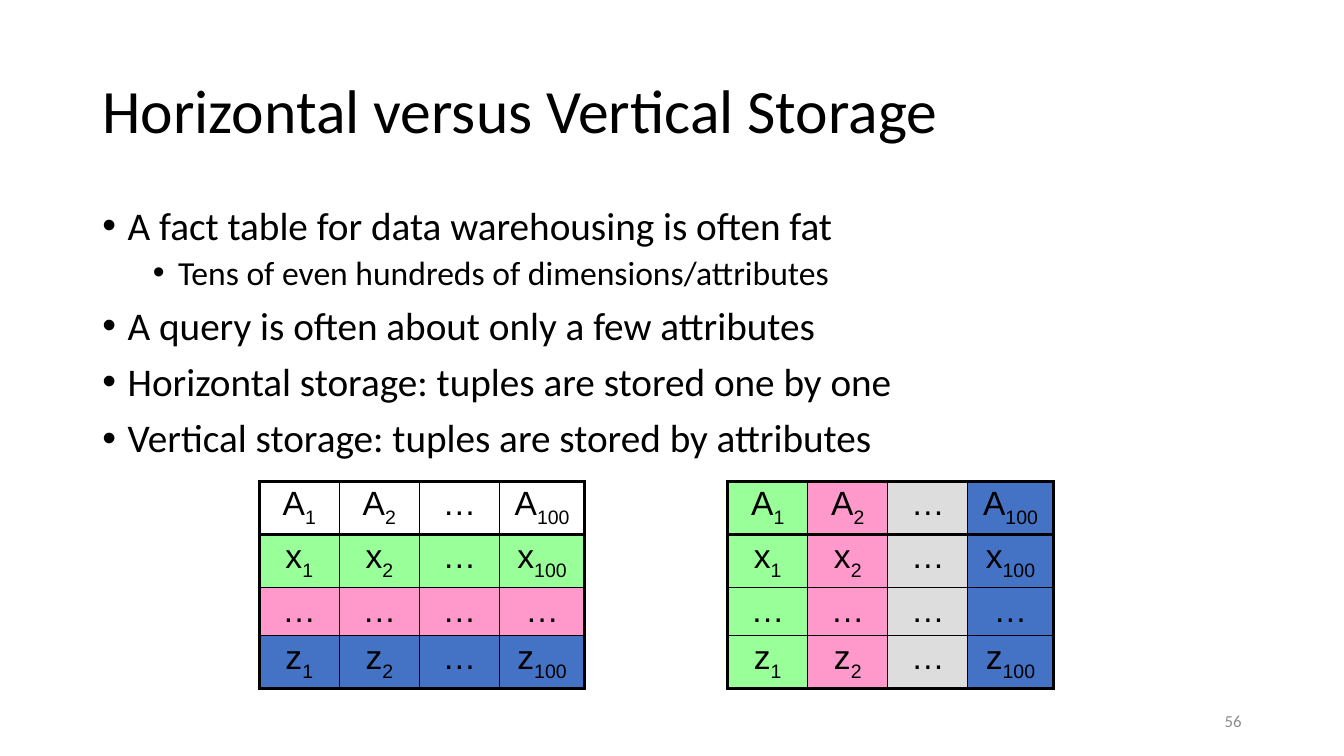
from lxml.etree import SubElement
from pptx import Presentation
from pptx.dml.color import RGBColor
from pptx.enum.text import MSO_ANCHOR, PP_ALIGN
from pptx.oxml.ns import qn
from pptx.util import Pt

BLACK = RGBColor(0x00, 0x00, 0x00)
GREY = RGBColor(0x8C, 0x8C, 0x8C)
GREEN = RGBColor(0x99, 0xFF, 0x99)
PINK = RGBColor(0xFF, 0x99, 0xCC)
SILVER = RGBColor(0xDD, 0xDD, 0xDD)
BLUE = RGBColor(0x44, 0x72, 0xC4)

THIN, THICK = 1, 2.25
COLUMN_WIDTHS = [57.2, 57.2, 57.2, 61]
ROW_HEIGHTS = [38, 38, 34, 38]
LETTERS = ["A", "x", "…", "z"]
SUBSCRIPTS = ["1", "2", "…", "100"]
ROW_COLOURS = [None, GREEN, PINK, BLUE]
COLUMN_COLOURS = [GREEN, PINK, SILVER, BLUE]
POINTS = [
    (0, "A fact table for data warehousing is often fat"),
    (1, "Tens of even hundreds of dimensions/attributes"),
    (0, "A query is often about only a few attributes"),
    (0, "Horizontal storage: tuples are stored one by one"),
    (0, "Vertical storage: tuples are stored by attributes"),
]


def place(shape, left, top, width, height):
    """Move and size a shape, in points."""
    shape.left, shape.top = Pt(left), Pt(top)
    shape.width, shape.height = Pt(width), Pt(height)


def style(run, size, name="Calibri", colour=BLACK):
    """Set the font of a run."""
    run.font.size = Pt(size)
    run.font.name = name
    run.font.color.rgb = colour


def add_title(slide, text):
    """Fill the title placeholder."""
    title = slide.shapes.title
    place(title, 66, 28.8, 828, 104.4)
    title.text_frame.text = text
    title.text_frame.vertical_anchor = MSO_ANCHOR.MIDDLE
    heading = title.text_frame.paragraphs[0]
    heading.alignment = PP_ALIGN.LEFT
    heading.line_spacing = 0.9
    style(heading.runs[0], 44)


def add_points(slide, points):
    """Fill the body placeholder with a two-level list."""
    body = slide.placeholders[1]
    place(body, 66, 144, 828, 342.7)
    frame = body.text_frame
    frame.text = "\n".join(text for _, text in points)
    for index, (level, _) in enumerate(points):
        point = frame.paragraphs[index]
        point.level = level
        point.line_spacing = 0.9
        point.space_before = Pt((5 if level else 10) if index else 0)
        properties = point._p.get_or_add_pPr()
        properties.set("marL", str(Pt(54 if level else 18)))
        properties.set("indent", str(Pt(-18)))
        SubElement(properties, qn("a:buFont")).set("typeface", "Arial")
        SubElement(properties, qn("a:buChar")).set("char", "•")
        style(point.runs[0], 24 if level else 28)


def set_borders(cell, row, column):
    """Draw thick lines round the table and under its header, thin ones inside."""
    last_row, last_column = len(LETTERS) - 1, len(SUBSCRIPTS) - 1
    thick_sides = {
        "a:lnL": column == 0,
        "a:lnR": column == last_column,
        "a:lnT": row <= 1,
        "a:lnB": row in (0, last_row),
    }
    for side, thick in thick_sides.items():
        line = SubElement(cell._tc.get_or_add_tcPr(), qn(side))
        line.set("w", str(Pt(THICK if thick else THIN)))
        fill = SubElement(line, qn("a:solidFill"))
        SubElement(fill, qn("a:srgbClr")).set("val", str(BLACK))


def write_cell(cell, letter, subscript):
    """Write a letter with its subscript, or an ellipsis."""
    cell.margin_top = cell.margin_bottom = Pt(3)
    entry = cell.text_frame.paragraphs[0]
    entry.alignment = PP_ALIGN.CENTER
    if "…" in (letter, subscript):
        entry.text = "…"
    else:
        entry.text = letter
        index = entry.add_run()
        index.text = subscript
        index._r.get_or_add_rPr().set("baseline", "-25000")
    for run in entry.runs:
        style(run, 24, "Arial")


def add_storage(slide, left, colour_of):
    """Add a storage table whose cells take the colour given by a rule."""
    frame = slide.shapes.add_table(
        len(LETTERS), len(SUBSCRIPTS), Pt(left), Pt(343.7),
        Pt(sum(COLUMN_WIDTHS)), Pt(sum(ROW_HEIGHTS)))
    storage = frame.table
    storage.first_row = storage.horz_banding = False
    for column, width in zip(storage.columns, COLUMN_WIDTHS):
        column.width = Pt(width)
    for row, height in zip(storage.rows, ROW_HEIGHTS):
        row.height = Pt(height)
    for row, letter in enumerate(LETTERS):
        for column, subscript in enumerate(SUBSCRIPTS):
            cell = storage.cell(row, column)
            write_cell(cell, letter, subscript)
            set_borders(cell, row, column)
            colour = colour_of(row, column)
            if colour is None:
                cell.fill.background()
            else:
                cell.fill.solid()
                cell.fill.fore_color.rgb = colour


def add_page_number(slide, text):
    """Add the page number at the lower right."""
    page = slide.shapes.add_textbox(Pt(678), Pt(500.5), Pt(216), Pt(28.8))
    frame = page.text_frame
    frame.word_wrap = True
    frame.vertical_anchor = MSO_ANCHOR.MIDDLE
    frame.text = text
    frame.paragraphs[0].alignment = PP_ALIGN.RIGHT
    style(frame.paragraphs[0].runs[0], 12, colour=GREY)


def main():
    """Build and save the slide."""
    deck = Presentation()
    deck.slide_width, deck.slide_height = Pt(960), Pt(540)
    slide = deck.slides.add_slide(deck.slide_layouts[1])
    add_title(slide, "Horizontal versus Vertical Storage")
    add_points(slide, POINTS)
    add_storage(slide, 185.2, lambda row, column: ROW_COLOURS[row])
    add_storage(slide, 519.8, lambda row, column: COLUMN_COLOURS[column])
    add_page_number(slide, "56")
    deck.save("out.pptx")


if __name__ == "__main__":
    main()
